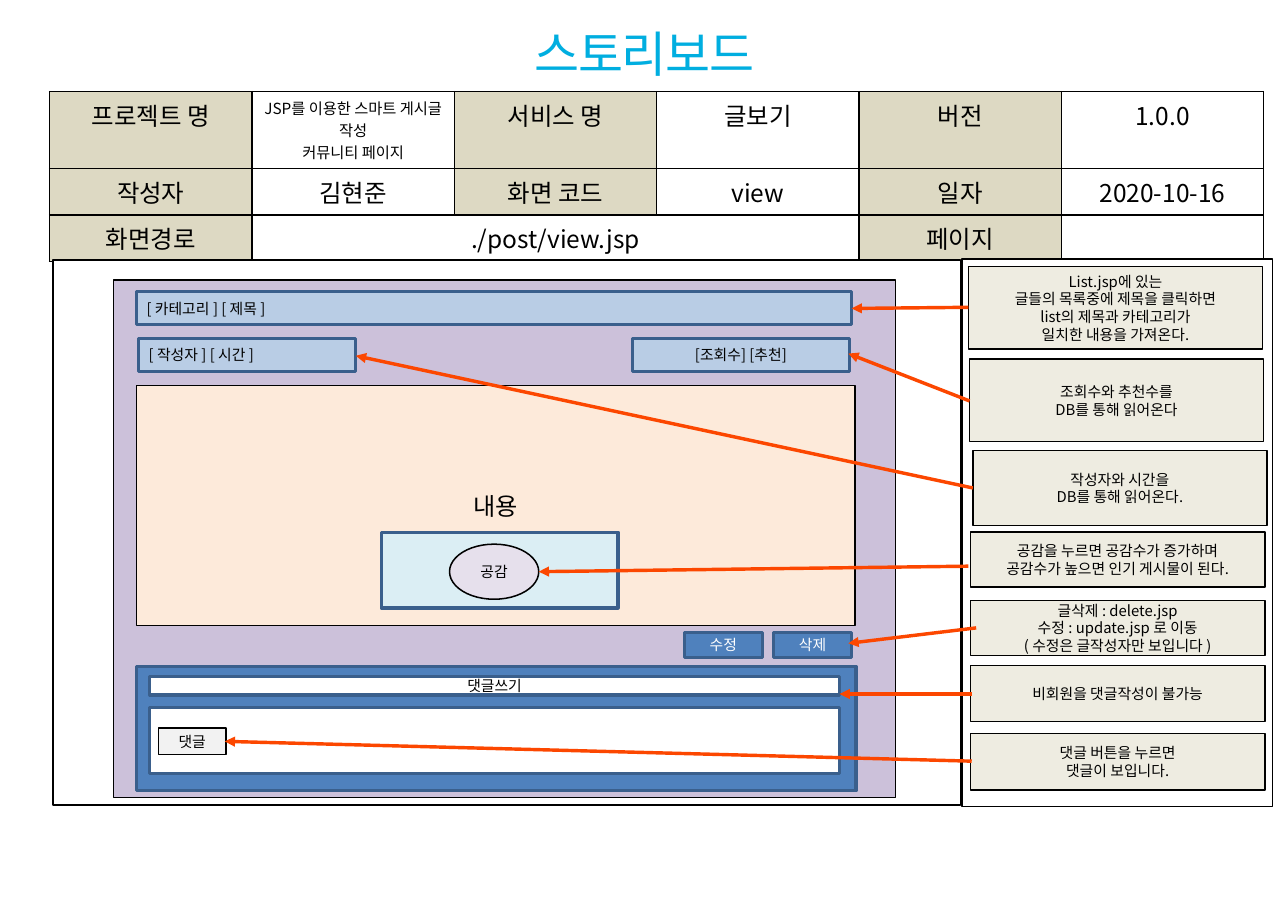
"""Build the storyboard slide for the post view screen."""
import pptx
import pptx.dml.color
import pptx.enum.shapes
import pptx.enum.text
import pptx.oxml.ns
import pptx.util
from lxml import etree

Inches, Pt = pptx.util.Inches, pptx.util.Pt
RGB = pptx.dml.color.RGBColor.from_string
qn = pptx.oxml.ns.qn
ALIGN = pptx.enum.text.PP_ALIGN
ANCHOR = pptx.enum.text.MSO_ANCHOR
SHAPE = pptx.enum.shapes.MSO_SHAPE

THEME = {
    "font": "Noto Sans CJK KR",
    "title_size": 32, "head_size": 16, "small_size": 10, "content_size": 15.8, "label_size": 9.7,
    "title": "00AEE0", "black": "000000", "white": "FFFFFF", "head": "DDD9C3",
    "screen": "CCC1DA", "bar": "B9CDE5", "edge": "3A5F8C", "content": "FDEADA",
    "like_panel": "DBEEF4", "like": "E6E0EC", "blue": "4F81BD", "button": "F2F2F2",
    "note": "EEECE1", "arrow": "FC4700",
}


def write(frame, text, size="label_size", color="black", align=ALIGN.CENTER):
    frame.text = text
    for paragraph in frame.paragraphs:
        paragraph.alignment = align
        for run in paragraph.runs:
            run.font.size = Pt(THEME[size])
            run.font.name = THEME["font"]
            run.font.color.rgb = RGB(THEME[color])
            etree.SubElement(run.font._element, qn("a:ea"), typeface=THEME["font"])


def box(place, fill, edge="black", text="", kind=SHAPE.RECTANGLE, **style):
    shape = slide.shapes.add_shape(kind, *map(Inches, place))
    shape.shadow.inherit = False
    shape.fill.solid()
    shape.fill.fore_color.rgb = RGB(THEME[fill])
    shape.line.color.rgb = RGB(THEME[edge])
    shape.line.width = Pt(2 if edge == "edge" else 1)
    frame_format = {
        "margin_left": Inches(0.09), "margin_right": Inches(0.09),
        "margin_top": Inches(0.04), "margin_bottom": Inches(0.04),
        "vertical_anchor": ANCHOR.MIDDLE, "word_wrap": True,
    }
    for name, value in frame_format.items():
        setattr(shape.text_frame, name, value)
    if text:
        write(shape.text_frame, text, **style)


deck = pptx.Presentation()
deck.slide_width, deck.slide_height = Inches(11.69), Inches(8.27)
slide = deck.slides.add_slide(deck.slide_layouts[5])

title = slide.shapes.title
title_place = {"left": 2.21, "top": 0.33, "width": 7.28, "height": 0.82}
for name, value in title_place.items():
    setattr(title, name, Inches(value))
title_format = {
    "margin_left": 0, "margin_right": 0, "margin_top": 0, "margin_bottom": 0,
    "vertical_anchor": ANCHOR.TOP, "word_wrap": True,
}
for name, value in title_format.items():
    setattr(title.text_frame, name, value)
write(title.text_frame, "스토리보드", "title_size", "title")
title.text_frame.paragraphs[0].line_spacing = Pt(30)
title.text_frame.paragraphs[0].runs[0].font._element.set("spc", "-100")

summary_rows = [
    ["프로젝트 명", "JSP를 이용한 스마트 게시글 작성\n커뮤니티 페이지", "서비스 명", "글보기", "버전", "1.0.0"],
    ["작성자", "김현준", "화면 코드", "view", "일자", "2020-10-16"],
    ["화면경로", "./post/view.jsp", "", "", "페이지", ""],
]
row_heights = [0.69, 0.41, 0.41]
summary = slide.shapes.add_table(
    3, 6, Inches(0.45), Inches(0.83), Inches(11.02), Inches(sum(row_heights))).table
summary.first_row = summary.horz_banding = False
for column in summary.columns:
    column.width = Inches(11.02 / 6)
for r, (height, texts) in enumerate(zip(row_heights, summary_rows)):
    summary.rows[r].height = Inches(height)
    for c, text in enumerate(texts):
        cell = summary.cell(r, c)
        if text:
            write(cell.text_frame, text, "small_size" if "\n" in text else "head_size")
        else:
            etree.SubElement(cell.text_frame.paragraphs[0]._p, qn("a:endParaRPr"),
                             sz=str(THEME["head_size"] * 100))
        borders = cell._tc.get_or_add_tcPr()
        for side in ("a:lnL", "a:lnR", "a:lnT", "a:lnB"):
            border = etree.SubElement(borders, qn(side), w=str(Pt(1)))
            ink = etree.SubElement(border, qn("a:solidFill"))
            etree.SubElement(ink, qn("a:srgbClr"), val=THEME["black"])
        is_label = c % 2 == 0 and text
        cell.fill.solid()
        cell.fill.fore_color.rgb = RGB(THEME["head" if is_label else "white"])
summary.cell(2, 1).merge(summary.cell(2, 3))

box((0.48, 2.36, 8.24, 4.95), "white")
box((8.73, 2.35, 2.82, 4.97), "white")
box((1.03, 2.54, 7.1, 4.7), "screen")
box((1.24, 2.65, 6.49, 0.3), "bar", "edge", "[ 카테고리 ] [ 제목 ]", align=ALIGN.LEFT)
box((1.26, 3.07, 1.97, 0.3), "bar", "edge", "[ 작성자 ] [ 시간 ]", align=ALIGN.LEFT)
box((5.74, 3.07, 1.97, 0.3), "bar", "edge", "[조회수] [추천]")
box((1.24, 3.5, 6.52, 2.18), "content", text="내용", size="content_size")
box((3.46, 4.83, 2.15, 0.69), "like_panel", "edge")
box((4.08, 4.94, 0.81, 0.5), "like", text="공감", kind=SHAPE.OVAL)
box((1.24, 6.05, 6.53, 1.13), "blue", "edge")
box((1.36, 6.14, 6.26, 0.17), "white", "edge", "댓글쓰기")
box((1.36, 6.42, 6.26, 0.6), "white", "edge")
box((1.44, 6.61, 0.61, 0.24), "button", text="댓글")
for left, action in ((6.21, "수정"), (7.02, "삭제")):
    box((left, 5.74, 0.71, 0.23), "blue", "edge", action, color="white")

notes = [
    (8.79, 2.42, 0.75, "List.jsp에 있는\n글들의 목록중에 제목을 클릭하면\nlist의 제목과 카테고리가\n일치한 내용을 가져온다.",
     (8.79, 2.79, 7.73, 2.8)),
    (8.8, 3.26, 0.75, "조회수와 추천수를\nDB를 통해 읽어온다", (8.8, 3.64, 7.7, 3.21)),
    (8.83, 4.09, 0.68, "작성자와 시간을\nDB를 통해 읽어온다.", (8.83, 4.43, 3.23, 3.23)),
    (8.81, 4.83, 0.5, "공감을 누르면 공감수가 증가하며\n공감수가 높으면 인기 게시물이 된다.",
     (8.79, 5.14, 4.89, 5.19)),
    (8.81, 5.45, 0.5, "글삭제 : delete.jsp\n수정 : update.jsp 로 이동\n( 수정은 글작성자만 보입니다 )",
     (8.86, 5.7, 7.7, 5.84)),
    (8.81, 6.04, 0.51, "비회원을 댓글작성이 불가능", (8.82, 6.3, 7.62, 6.3)),
    (8.81, 6.66, 0.51, "댓글 버튼을 누르면\n댓글이 보입니다.", (8.82, 6.91, 2.04, 6.73)),
]
for left, top, height, text, route in notes:
    box((left, top, 2.67, height), "note", text=text)
    arrow = slide.shapes.add_connector(
        pptx.enum.shapes.MSO_CONNECTOR.STRAIGHT, *map(Inches, route))
    arrow.line.color.rgb = RGB(THEME["arrow"])
    arrow.line.width = Pt(2.25)
    etree.SubElement(arrow.line._get_or_add_ln(), qn("a:tailEnd"), type="triangle")
    etree.SubElement(arrow._element.spPr, qn("a:effectLst"))

deck.save("out.pptx")
